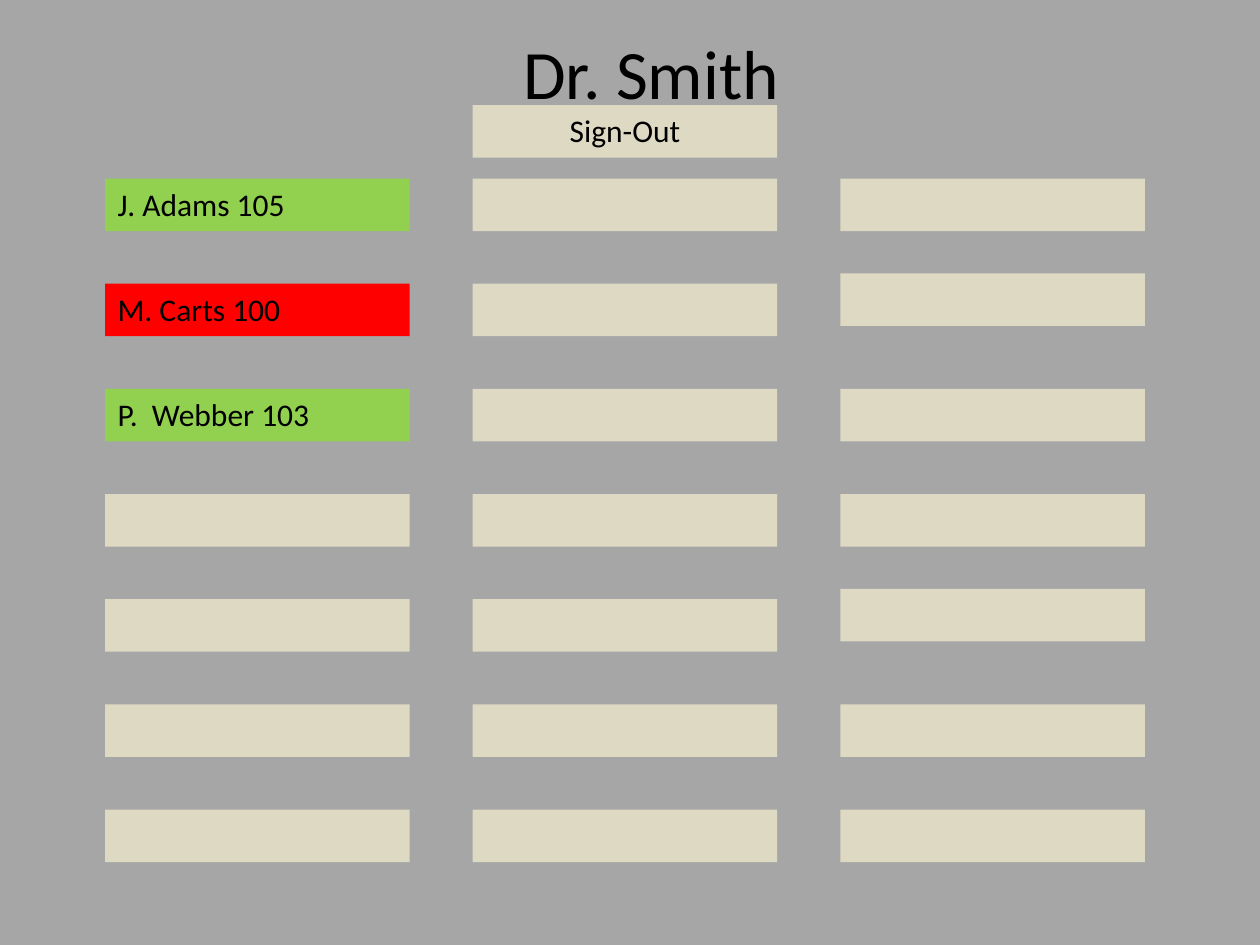
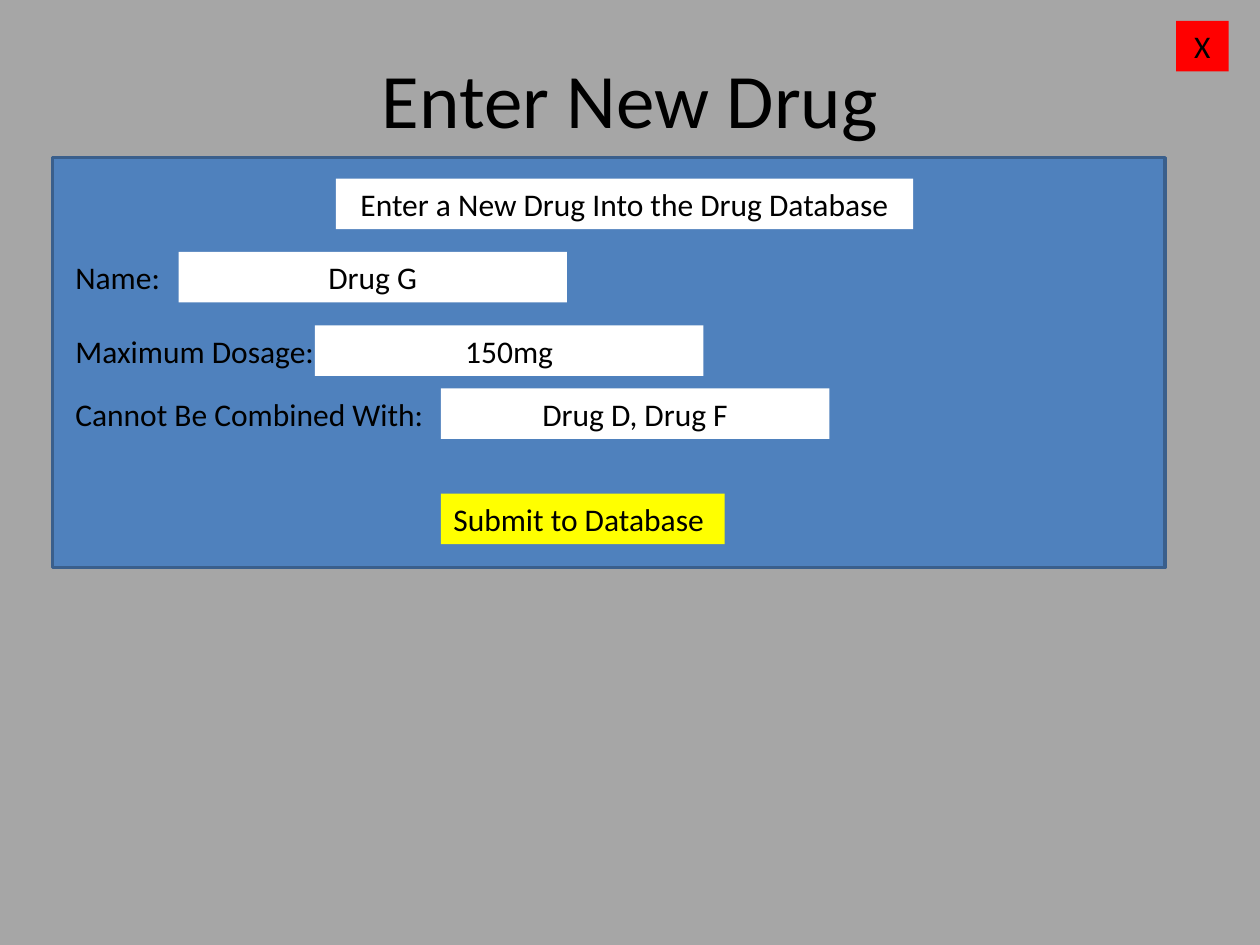
import pptx
import pptx.dml.color
import pptx.enum.shapes
import pptx.enum.text
import pptx.util

Cm = pptx.util.Cm
Align = pptx.enum.text.PP_ALIGN
Anchor = pptx.enum.text.MSO_ANCHOR

GREY, SAND, WHITE, BLACK = "A6A6A6", "DDD9C3", "FFFFFF", "000000"
GREEN, RED, YELLOW = "92D050", "FF0000", "FFFF00"
BLUE, NAVY = "4F81BD", "3A5F8C"


def paint(fill, tint):
    fill.solid()
    fill.fore_color.rgb = pptx.dml.color.RGBColor.from_string(tint)


def write(slide, text, at, fill=None, size=18, align=Align.LEFT, title=False):
    """Put text in the title, in a filled box or, without a fill, in a text box."""
    place = [Cm(n) for n in at]
    if title:
        shape = slide.shapes.title
        shape.left, shape.top, shape.width, shape.height = place
    elif fill:
        shape = slide.shapes.add_shape(
            pptx.enum.shapes.MSO_SHAPE.RECTANGLE, *place)
        shape.shadow.inherit = False
        shape.line.fill.background()
        paint(shape.fill, fill)
    else:
        shape = slide.shapes.add_textbox(*place)
    if text:
        frame = shape.text_frame
        frame.word_wrap = True
        frame.auto_size = pptx.enum.text.MSO_AUTO_SIZE.NONE
        frame.vertical_anchor = Anchor.MIDDLE if title else Anchor.TOP
        par = frame.paragraphs[0]
        par.alignment = align
        run = par.add_run()
        run.text = text
        run.font.name = "Calibri"
        run.font.size = pptx.util.Pt(size)
        paint(run.font.fill, BLACK)
    return shape


deck = pptx.Presentation()
deck.slide_width, deck.slide_height = Cm(25.4), Cm(19.05)

# Both slides: grey ground and centred title
heads = [
    ("Dr. Smith", (2.12, 0.76, 22.01, 1.36), 39.6),
    ("Enter New Drug", (1.27, 0.76, 22.86, 2.42), 44),
]
for text, at, size in heads:
    slide = deck.slides.add_slide(deck.slide_layouts[5])
    paint(slide.background.fill, GREY)
    write(slide, text, at, size=size, align=Align.CENTER, title=True)
board, form = deck.slides

# Patient board: three columns of seven boxes
names = {
    (0, 0): ("J. Adams 105", GREEN),
    (0, 1): ("M. Carts 100", RED),
    (0, 2): ("P.  Webber 103", GREEN),
}
raised = {(2, 1), (2, 4)}
left, top, wide, high = 2.12, 3.6, 6.14, 1.06
for col in range(3):
    for row in range(7):
        text, fill = names.get((col, row), ("", SAND))
        lift = 0.21 if (col, row) in raised else 0
        at = (left + col * 7.41, top + row * 2.12 - lift, wide, high)
        write(board, text, at, fill)
write(board, "Sign-Out", (left + 7.41, 2.12, wide, high), SAND,
      align=Align.CENTER)

# Form panel
panel = write(form, "", (1.06, 3.18, 22.43, 8.26), BLUE)
paint(panel.line.fill, NAVY)
panel.line.width = pptx.util.Pt(2)

# Close button and heading
high = 1.02
write(form, "X", (23.71, 0.42, 1.06, high), RED, align=Align.CENTER)
write(form, "Enter a New Drug Into the Drug Database",
      (6.77, 3.6, 11.64, high), WHITE, align=Align.CENTER)

# Fields: label, label width, value, value left, top
fields = [
    ("Name:", 2.54, "Drug G", 3.6, 5.08),
    ("Maximum Dosage:", 5.72, "150mg", 6.35, 6.56),
    ("Cannot Be Combined With:", 8.26, "Drug D, Drug F", 8.89, 7.83),
]
for label, wide, value, left, top in fields:
    write(form, value, (left, top, 7.83, high), WHITE, align=Align.CENTER)
    write(form, label, (1.27, top, wide, high))

# Submit button
write(form, "Submit to Database", (8.89, 9.95, 5.72, high), YELLOW)

deck.save("out.pptx")
